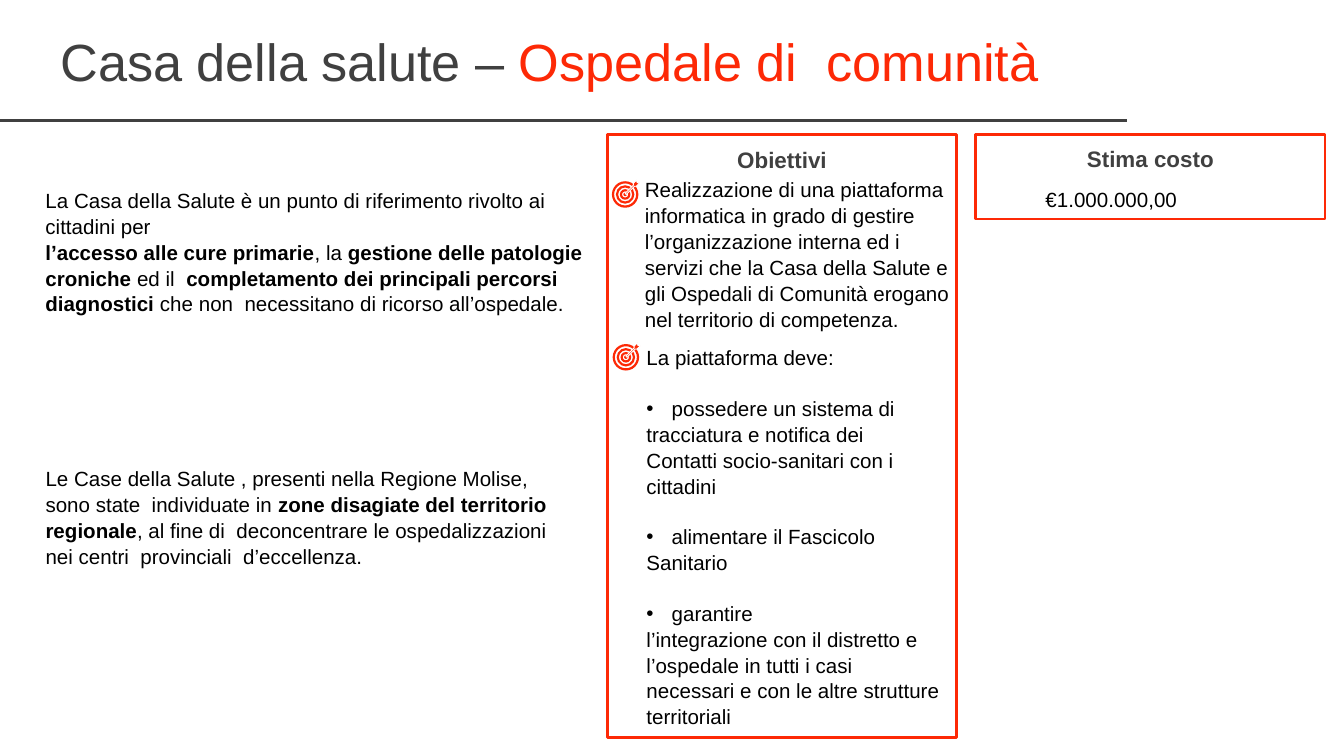
"""Build the slide on the community health centre and its platform goals."""
from lxml import etree
from pptx import Presentation
from pptx import util as u
from pptx.dml.color import RGBColor
from pptx.enum import shapes, text
from pptx.oxml.ns import qn

RED = RGBColor(0xFD, 0x29, 0x06)
GREY = RGBColor(0x40, 0x40, 0x40)
BLACK = RGBColor(0, 0, 0)
WHITE = RGBColor(255, 255, 255)
FONT = "Arial"
LINE_SPACING = 1.05
LIST_GAP = 13.3
BULLET_INDENT = 13.5

TITLE = [("Casa della salute – ", GREY), ("Ospedale di  comunità", RED)]
TITLE_BOX = (25.2, 10, 564.5, 45.4)
PANELS = [(325.4, 72, 187.2, 323.3), (522.7, 72, 187.2, 45.4)]
HEADINGS = [("Obiettivi", 75), ("Stima costo", 74)]
TEXTS = [
    ((17.3, 96.5, 302.4, 74), [
        "La Casa della Salute è un punto di riferimento rivolto ai",
        "cittadini per",
        "**l’accesso alle cure primarie**, la **gestione delle patologie croniche **"
        "ed il  **completamento dei principali percorsi**",
        "**diagnostici **che non  necessitano di ricorso all’ospedale.",
    ]),
    ((17.3, 245.5, 286.6, 61), [
        "Le Case della Salute , presenti nella Regione Molise,",
        "sono state  individuate in **zone disagiate del territorio regionale**, al fine di  "
        "deconcentrare le ospedalizzazioni nei centri  provinciali  d’eccellenza.",
    ]),
    ((338.4, 90.7, 177.8, 87.1), [
        "Realizzazione di una piattaforma",
        "informatica in grado di gestire",
        "l’organizzazione interna ed i",
        "servizi che la Casa della Salute e",
        "gli Ospedali di Comunità erogano nel territorio di competenza.",
    ]),
    ((553, 95.8, 150, 20.9), ["€1.000.000,00"]),
]
LIST_BOX = (339.1, 180.7, 172.8, 220.3)
LIST_INTRO = "La piattaforma deve:"
LIST_ITEMS = [
    ["possedere un sistema di", "tracciatura e notifica dei",
     "Contatti socio-sanitari con i", "cittadini"],
    ["alimentare il Fascicolo", "Sanitario"],
    ["garantire", "l’integrazione con il distretto e", "l’ospedale in tutti i casi",
     "necessari e con le altre strutture territoriali"],
]
TARGET_CENTRES = [(334.9, 104.2), (335.3, 191.4)]
RING_DIAMETERS = [14.2, 9.9, 5.7]
RING_WIDTH = 1.2
BULLSEYE = 1.8
DART = [(0, -0.6), (4.4, -5), (4.4, -6), (6.2, -7.8), (6.4, -6.4),
        (7.8, -6.2), (6, -4.4), (5, -4.4), (0.6, 0)]


def points(values):
    return [u.Pt(value) for value in values]


def style(paragraph, size, color, bold=None, bullet=False):
    properties = paragraph._p.get_or_add_pPr()
    indent = u.Pt(BULLET_INDENT if bullet else 0)
    properties.set("marL", str(indent))
    properties.set("indent", str(-indent))
    if bullet:
        etree.SubElement(properties, qn("a:buFont"), typeface=FONT)
        etree.SubElement(properties, qn("a:buChar"), char="•")
    else:
        etree.SubElement(properties, qn("a:buNone"))
    font = paragraph.font
    font.name, font.size, font.bold = FONT, u.Pt(size), bold
    font.color.rgb = color


def fill_paragraph(paragraph, marked, gap=0, bullet=False):
    paragraph.line_spacing = LINE_SPACING
    paragraph.space_before = u.Pt(gap)
    style(paragraph, 11, BLACK, bullet=bullet)
    for index, part in enumerate(marked.split("**")):
        if part:
            run = paragraph.add_run()
            run.text = part
            if index % 2:
                run.font.bold = True


def fill_frame(frame, rows):
    frame.word_wrap = True
    for index, row in enumerate(rows):
        paragraph = frame.add_paragraph() if index else frame.paragraphs[0]
        fill_paragraph(paragraph, *row)


def place(shape, box):
    shape.left, shape.top, shape.width, shape.height = points(box)


def paint_red(shape):
    shape.shadow.inherit = False
    shape.fill.solid()
    shape.fill.fore_color.rgb = RED
    shape.line.fill.background()


def add_disc(slide, kind, centre, diameter):
    x, y = centre
    box = (x - diameter / 2, y - diameter / 2, diameter, diameter)
    disc = slide.shapes.add_shape(kind, *points(box))
    paint_red(disc)
    return disc


def add_target(slide, centre):
    for diameter in RING_DIAMETERS:
        ring = add_disc(slide, shapes.MSO_SHAPE.DONUT, centre, diameter)
        ring.adjustments[0] = RING_WIDTH / diameter
    add_disc(slide, shapes.MSO_SHAPE.OVAL, centre, BULLSEYE)
    outline = [points((centre[0] + x, centre[1] + y)) for x, y in DART]
    builder = slide.shapes.build_freeform(*outline[0])
    builder.add_line_segments(outline[1:], close=True)
    dart = builder.convert_to_shape()
    paint_red(dart)
    dart.line.color.rgb = WHITE
    dart.line.width = u.Pt(0.5)


def add_panel(slide, box, heading, heading_top):
    panel = slide.shapes.add_shape(shapes.MSO_SHAPE.RECTANGLE, *points(box))
    panel.shadow.inherit = False
    panel.fill.background()
    panel.line.color.rgb = RED
    panel.line.width = u.Pt(1.5)
    label = slide.shapes.add_textbox(*points((box[0], heading_top, box[2], 21.6)))
    paragraph = label.text_frame.paragraphs[0]
    label.text_frame.word_wrap = True
    paragraph.text = heading
    paragraph.alignment = text.PP_ALIGN.CENTER
    style(paragraph, 12, GREY, bold=True)


def add_title(slide):
    title = slide.shapes.title
    place(title, TITLE_BOX)
    frame = title.text_frame
    frame.auto_size = text.MSO_AUTO_SIZE.NONE
    frame.vertical_anchor = text.MSO_ANCHOR.MIDDLE
    paragraph = frame.paragraphs[0]
    paragraph.alignment = text.PP_ALIGN.LEFT
    style(paragraph, 28, GREY)
    for words, color in TITLE:
        run = paragraph.add_run()
        run.text = words
        run.font.color.rgb = color
    rule = slide.shapes.add_connector(
        shapes.MSO_CONNECTOR.STRAIGHT, *points((0, 64.4, 604, 64.4)))
    rule.line.color.rgb = GREY
    rule.line.width = u.Pt(1.5)
    etree.SubElement(rule._element.spPr, qn("a:effectLst"))


def add_list(slide):
    body = slide.placeholders[1]
    place(body, LIST_BOX)
    body.text_frame.auto_size = text.MSO_AUTO_SIZE.NONE
    rows = [(LIST_INTRO,)]
    for first, *others in LIST_ITEMS:
        rows.append((first, LIST_GAP, True))
        rows += [(line,) for line in others]
    fill_frame(body.text_frame, rows)


def main():
    presentation = Presentation()
    presentation.slide_width, presentation.slide_height = u.Pt(720), u.Pt(405)
    slide = presentation.slides.add_slide(presentation.slide_layouts[1])
    add_title(slide)
    for box, heading in zip(PANELS, HEADINGS):
        add_panel(slide, box, *heading)
    for box, lines in TEXTS:
        textbox = slide.shapes.add_textbox(*points(box))
        fill_frame(textbox.text_frame, [(line,) for line in lines])
    add_list(slide)
    for centre in TARGET_CENTRES:
        add_target(slide, centre)
    presentation.save("out.pptx")


if __name__ == "__main__":
    main()
